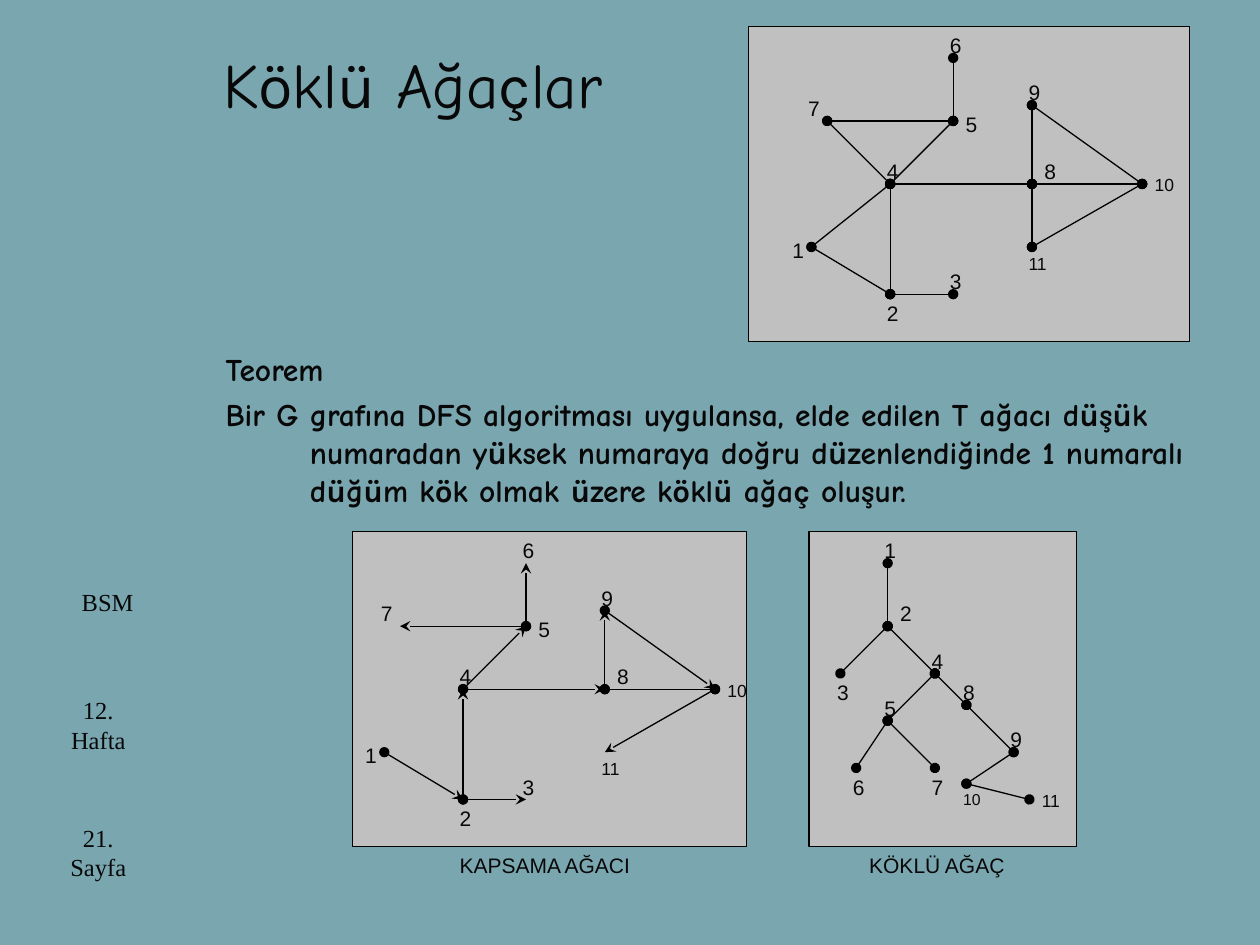
from itertools import groupby

from lxml import etree
from pptx import Presentation
from pptx.dml.color import RGBColor
from pptx.enum import shapes, text
from pptx.oxml import ns
from pptx.util import Inches, Pt

COLORS = {"back": "7AA6B0", "panel": "C0C0C0", "line": "000000", "ink": "080808"}
KARLA_LETTERS = "öüç"
STEP = 0.125  # grid step of the graphs, in inches
LABEL_SIDE = 0.38

# Label offsets from a node, in grid steps
ABOVE, BELOW, RIGHT, UPPER_RIGHT = (-1, -2), (-1, 0), (0, -1), (0, -2)
LEFT, UPPER_LEFT = (-2, -1), (-2, -2)

# Node: (column, row, label offset)
GRAPH_NODES = {
    6: (13, 2, ABOVE), 7: (5, 6, UPPER_LEFT), 4: (9, 10, ABOVE), 9: (18, 5, ABOVE),
    10: (25, 10, RIGHT), 8: (18, 10, UPPER_RIGHT), 11: (18, 14, BELOW),
    3: (13, 17, ABOVE), 2: (9, 17, BELOW), 1: (4, 14, LEFT), 5: (13, 6, RIGHT),
}
GRAPH_EDGES = [(6, 5), (5, 7), (7, 4), (4, 5), (4, 2), (2, 1), (1, 4), (2, 3),
               (4, 8), (8, 9), (9, 10), (10, 8), (8, 11), (11, 10)]

SPANNING_NODES = {n: (col - 2, row, side) for n, (col, row, side) in GRAPH_NODES.items()}
SPANNING_ARCS = [(5, 6), (5, 7), (4, 5), (2, 4), (1, 2), (2, 3), (4, 8), (8, 9),
                 (9, 10), (10, 11)]

ROOTED_NODES = {
    1: (5, 2, ABOVE), 2: (5, 6, UPPER_RIGHT), 3: (2, 9, BELOW), 4: (8, 9, ABOVE),
    5: (5, 12, ABOVE), 8: (10, 11, ABOVE), 9: (13, 14, ABOVE), 6: (3, 15, BELOW),
    7: (8, 15, BELOW), 10: (10, 16, BELOW), 11: (14, 17, RIGHT),
}
ROOTED_EDGES = [(1, 2), (2, 3), (2, 4), (4, 8), (8, 9), (9, 10), (10, 11),
                (4, 5), (5, 6), (5, 7)]


def rgb(name):
    return RGBColor.from_string(COLORS[name])


def style_run(run, font_name, size, bold=None):
    run.font.name = font_name
    run.font.size = Pt(size)
    run.font.bold = bold
    run.font.color.rgb = rgb("ink")


def write_mixed(paragraph, wording, size, bold=None):
    """Set the wording in Comic Neue, with some accented letters in Karla."""
    for is_karla, letters in groupby(wording, lambda letter: letter in KARLA_LETTERS):
        run = paragraph.add_run()
        run.text = "".join(letters)
        style_run(run, "Karla" if is_karla else "Comic Neue", size, bold)


def place(shape, left, top, width, height):
    shape.left, shape.top = Inches(left), Inches(top)
    shape.width, shape.height = Inches(width), Inches(height)


def add_label(parent, wording, left, top, width, height, size=12, font_name="Arial",
              align=text.PP_ALIGN.LEFT):
    label = parent.add_textbox(Inches(left), Inches(top), Inches(width), Inches(height))
    label.text_frame.word_wrap = True
    label.text_frame.text = wording
    paragraph = label.text_frame.paragraphs[0]
    paragraph.alignment = align
    style_run(paragraph.runs[0], font_name, size)


def add_edge(parent, start, end, end_mark):
    edge = parent.add_connector(shapes.MSO_CONNECTOR.STRAIGHT,
                                *(Inches(value) for value in (*start, *end)))
    edge.line.color.rgb = rgb("line")
    edge.line.width = Pt(0.75)
    properties = edge._element.spPr
    outline = properties.find(ns.qn("a:ln"))
    for tag, mark in (("a:headEnd", "oval"), ("a:tailEnd", end_mark)):
        etree.SubElement(outline, ns.qn(tag), type=mark)
    etree.SubElement(properties, ns.qn("a:effectLst"))


def add_graph(slide, left, top, columns, nodes, edges, arcs=(), sizes=None):
    """Draw a panel with plain edges, directed arcs and numbered nodes."""
    sizes = {10: 10, 11: 10} | (sizes or {})
    parts = slide.shapes.add_group_shape().shapes

    def at(col, row):
        return left + col * STEP, top + row * STEP

    panel = parts.add_shape(shapes.MSO_SHAPE.RECTANGLE, Inches(left), Inches(top),
                            Inches(columns * STEP), Inches(20 * STEP))
    panel.shadow.inherit = False
    panel.fill.solid()
    panel.fill.fore_color.rgb = rgb("panel")
    panel.line.color.rgb = rgb("line")
    panel.line.width = Pt(0.75)

    for pairs, end_mark in ((edges, "oval"), (arcs, "stealth")):
        for start, end in pairs:
            add_edge(parts, at(*nodes[start][:2]), at(*nodes[end][:2]), end_mark)
    for number, (col, row, (right, down)) in nodes.items():
        add_label(parts, str(number), *at(col + right, row + down),
                  LABEL_SIDE, LABEL_SIDE, sizes.get(number, 12))


def fill_title(title, left, top, width, height):
    place(title, left, top, width, height)
    title.text_frame.vertical_anchor = text.MSO_ANCHOR.MIDDLE
    title.text_frame.auto_size = text.MSO_AUTO_SIZE.NONE
    paragraph = title.text_frame.paragraphs[0]
    paragraph.alignment = text.PP_ALIGN.LEFT
    write_mixed(paragraph, "Köklü Ağaçlar", 36)


def fill_theorem(body, left, top, width, height):
    place(body, left, top, width, height)
    frame = body.text_frame
    frame.auto_size = text.MSO_AUTO_SIZE.NONE
    lines = [
        "Teorem",
        "Bir G grafına DFS algoritması uygulansa, elde edilen T ağacı düşük "
        "numaradan yüksek numaraya doğru düzenlendiğinde 1 numaralı "
        "düğüm kök olmak üzere köklü ağaç oluşur.",
    ]
    for index, line in enumerate(lines):
        paragraph = frame.add_paragraph() if index else frame.paragraphs[0]
        properties = paragraph._p.get_or_add_pPr()
        properties.set("marL", str(Inches(0.67)))
        properties.set("indent", str(Inches(-0.67)))
        etree.SubElement(properties, ns.qn("a:buNone"))
        paragraph.space_before = Pt(4 if index else 0)
        write_mixed(paragraph, line, 18, bold=True)


def add_side_notes(slide, left, top):
    for wording, right, down, width, height, align in (
        ("BSM", 0.16, 0, 0.62, 0.34, text.PP_ALIGN.LEFT),
        ("12. Hafta", 0, 0.86, 0.78, 0.7, text.PP_ALIGN.CENTER),
        ("21. Sayfa", 0, 1.87, 0.78, 0.62, text.PP_ALIGN.CENTER),
    ):
        add_label(slide.shapes, wording, left + right, top + down, width, height,
                  14, "Times New Roman", align)


def main():
    deck = Presentation()
    deck.slide_width, deck.slide_height = Inches(10), Inches(7.5)
    slide = deck.slides.add_slide(deck.slide_layouts[1])
    slide.background.fill.solid()
    slide.background.fill.fore_color.rgb = rgb("back")

    fill_title(slide.shapes.title, 1.67, 0.08, 8.07, 1.17)
    fill_theorem(slide.placeholders[1], 1.69, 2.73, 8.08, 4.05)
    add_graph(slide, 5.94, 0.21, 28, GRAPH_NODES, GRAPH_EDGES)
    add_graph(slide, 2.8, 4.22, 25, SPANNING_NODES, [(10, 8)], SPANNING_ARCS)
    add_graph(slide, 6.42, 4.22, 17, ROOTED_NODES, ROOTED_EDGES, sizes={10: 9})
    for caption, left in (("KAPSAMA AĞACI", 3.55), ("KÖKLÜ AĞAÇ", 6.8)):
        add_label(slide.shapes, caption, left, 6.72, 1.75, LABEL_SIDE)
    add_side_notes(slide, 0.39, 4.61)
    deck.save("out.pptx")


if __name__ == "__main__":
    main()
